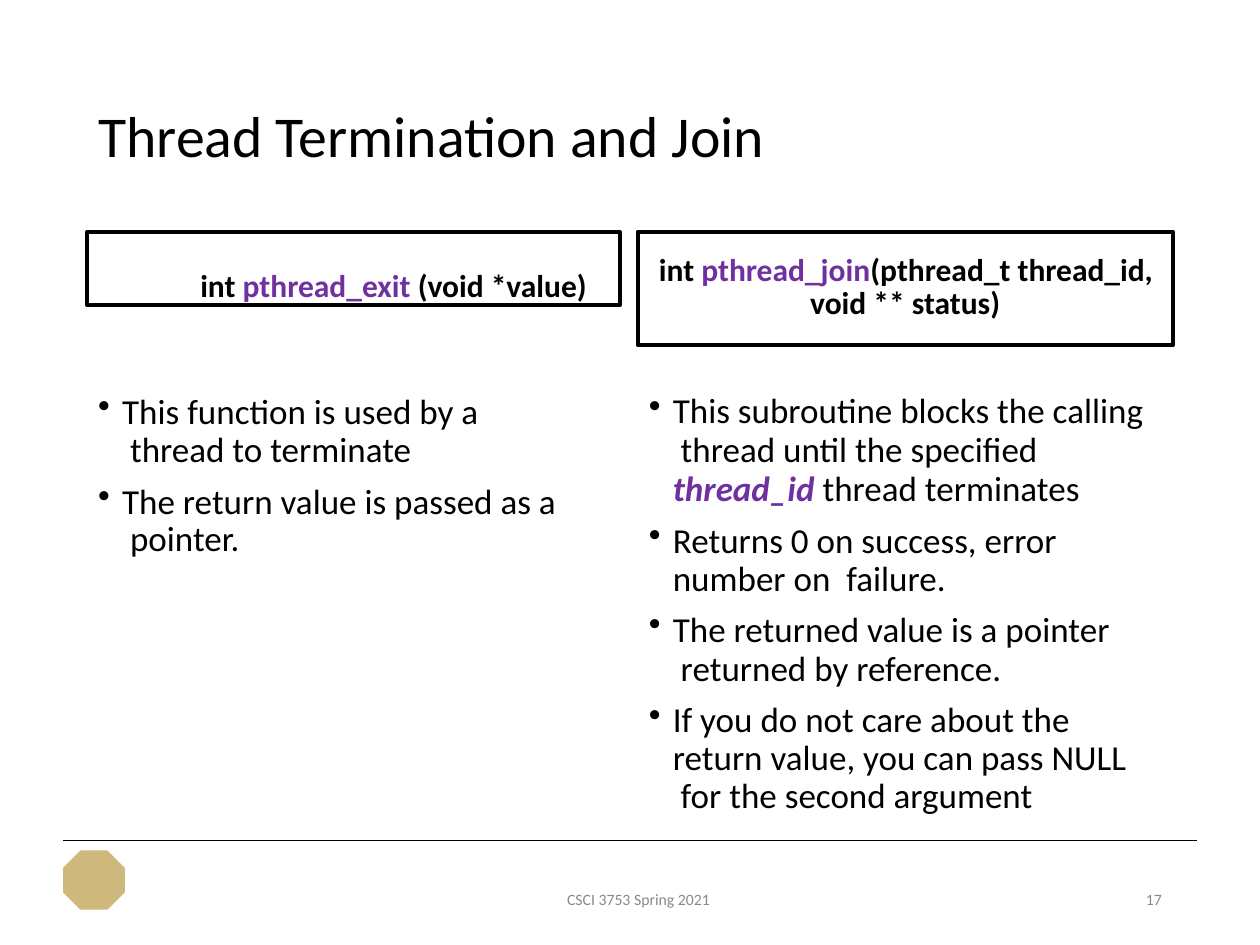
"""Build the slide on ending and joining threads."""
from dataclasses import dataclass

from lxml.etree import SubElement
from pptx import Presentation
from pptx.dml.color import RGBColor
from pptx.enum.shapes import MSO_CONNECTOR, MSO_SHAPE
from pptx.enum.text import MSO_ANCHOR, PP_ALIGN
from pptx.oxml.ns import qn
from pptx.util import Inches, Pt

BLACK = RGBColor(0x00, 0x00, 0x00)
PURPLE = RGBColor(0x70, 0x30, 0xA0)
GRAY = RGBColor(0x89, 0x89, 0x89)
GOLD = RGBColor(0xCF, 0xB8, 0x7C)
FONT = "Calibri"
HANG = 0.19


@dataclass
class Item:
    text: str
    lead: float | Pt
    gap: float


@dataclass
class Panel:
    left: float
    width: float
    height: float
    inset: float
    margin: float
    indent: float
    code: str
    body: float
    items: list[Item]


PANELS = [
    Panel(0.69, 4.23, 0.58, 0.27, 0.9, 0, "int |pthread_exit| (void *value)", 3.66, [
        Item("This function is used by a \u00a0thread to terminate", Pt(21.8), 3.5),
        Item("The return value is passed as a \u00a0pointer.", Pt(21.1), 8.8),
    ]),
    Panel(5.06, 4.25, 0.9, 0.18, 1.37, -1.2,
          "int |pthread_join|(pthread_t thread_id, void ** status)", 4.05, [
              Item("This subroutine blocks the calling \u00a0thread until the specified "
                   "|thread_id| thread terminates", 0.92, 3),
              Item("Returns 0 on success, error number on \u00a0failure.", Pt(21.8), 7.6),
              Item("The returned value is a pointer \u00a0returned by reference.", Pt(22.1), 7),
              Item("If you do not care about the return value, you can pass NULL "
                   "\u00a0for the second argument", 0.9, 8.1),
          ]),
]


def prep(shape, top: float):
    """Set wrap, anchor and insets of a text frame."""
    frame = shape.text_frame
    frame.word_wrap = True
    frame.vertical_anchor = MSO_ANCHOR.TOP
    frame.margin_left = frame.margin_right = frame.margin_bottom = 0
    frame.margin_top = Inches(top)
    return frame


def style(para, size: float, color: RGBColor, bold: bool = False) -> None:
    """Set the font of a whole paragraph."""
    para.alignment = PP_ALIGN.LEFT
    para.font.name, para.font.size, para.font.bold = FONT, Pt(size), bold
    para.font.color.rgb = color


def fill(para, text: str, slant: bool = False) -> None:
    """Add runs, with every second part between bars in purple."""
    for rank, part in enumerate(text.split("|")):
        run = para.add_run()
        run.text = part
        if rank % 2:
            run.font.color.rgb = PURPLE
            if slant:
                run.font.bold = run.font.italic = True


def indent(para, margin: float, first: float):
    """Set the left margin and the first-line indent."""
    props = para._p.get_or_add_pPr()
    props.set("marL", str(Inches(margin)))
    props.set("indent", str(Inches(first)))
    return props


def label(slide, text: str, left: float, width: float, align: PP_ALIGN) -> None:
    """Add a small gray footer text."""
    box = slide.shapes.add_textbox(Inches(left), Inches(7.05), Inches(width), Inches(0.18))
    para = prep(box, 0.01).paragraphs[0]
    para.text = text
    style(para, 9, GRAY)
    para.alignment = align


def draw(slide, panel: Panel) -> None:
    """Draw a framed signature and its list."""
    frame = slide.shapes.add_shape(
        MSO_SHAPE.RECTANGLE, Inches(panel.left), Inches(1.84),
        Inches(panel.width), Inches(panel.height))
    frame.shadow.inherit = False
    frame.fill.background()
    frame.line.color.rgb, frame.line.width = BLACK, Pt(2.25)
    para = prep(frame, panel.inset).paragraphs[0]
    style(para, 18, BLACK, True)
    para.line_spacing = Pt(19) if panel.indent else 1.0
    indent(para, panel.margin, panel.indent)
    fill(para, panel.code)

    box = slide.shapes.add_textbox(
        Inches(panel.left + 0.08), Inches(3.07), Inches(panel.body), Inches(3.44))
    body = prep(box, 0.05)
    for rank, item in enumerate(panel.items):
        para = body.add_paragraph() if rank else body.paragraphs[0]
        style(para, 20, BLACK)
        para.line_spacing, para.space_before = item.lead, Pt(item.gap)
        props = indent(para, 0.2, -HANG)
        mark = props.makeelement(qn("a:buChar"), {"char": "•"})
        props.insert_element_before(mark, "a:tabLst", "a:defRPr", "a:extLst")
        fill(para, item.text, True)


def main() -> None:
    """Build and save the deck."""
    deck = Presentation()
    deck.slide_width, deck.slide_height = Inches(10), Inches(7.5)
    slide = deck.slides.add_slide(deck.slide_layouts[5])

    rule = slide.shapes.add_connector(
        MSO_CONNECTOR.STRAIGHT, Inches(0.5), Inches(6.67), Inches(9.5), Inches(6.67))
    rule.line.color.rgb, rule.line.width = BLACK, Pt(1)
    SubElement(rule._element.spPr, qn("a:effectLst"))

    badge = slide.shapes.add_shape(
        MSO_SHAPE.OCTAGON, Inches(0.5), Inches(6.75), Inches(0.49), Inches(0.47))
    badge.shadow.inherit = False
    badge.fill.solid()
    badge.fill.fore_color.rgb = GOLD
    badge.line.fill.background()

    title = slide.shapes.title
    title.left, title.top = Inches(0.78), Inches(0.78)
    title.width, title.height = Inches(5.4), Inches(0.58)
    para = prep(title, 0.01).paragraphs[0]
    para.text = "Thread Termination and Join"
    style(para, 33, BLACK)

    for panel in PANELS:
        draw(slide, panel)
    label(slide, "CSCI 3753 Spring 2021", 4.5, 1.25, PP_ALIGN.LEFT)
    label(slide, "17", 8.9, 0.32, PP_ALIGN.RIGHT)
    deck.save("out.pptx")


main()
